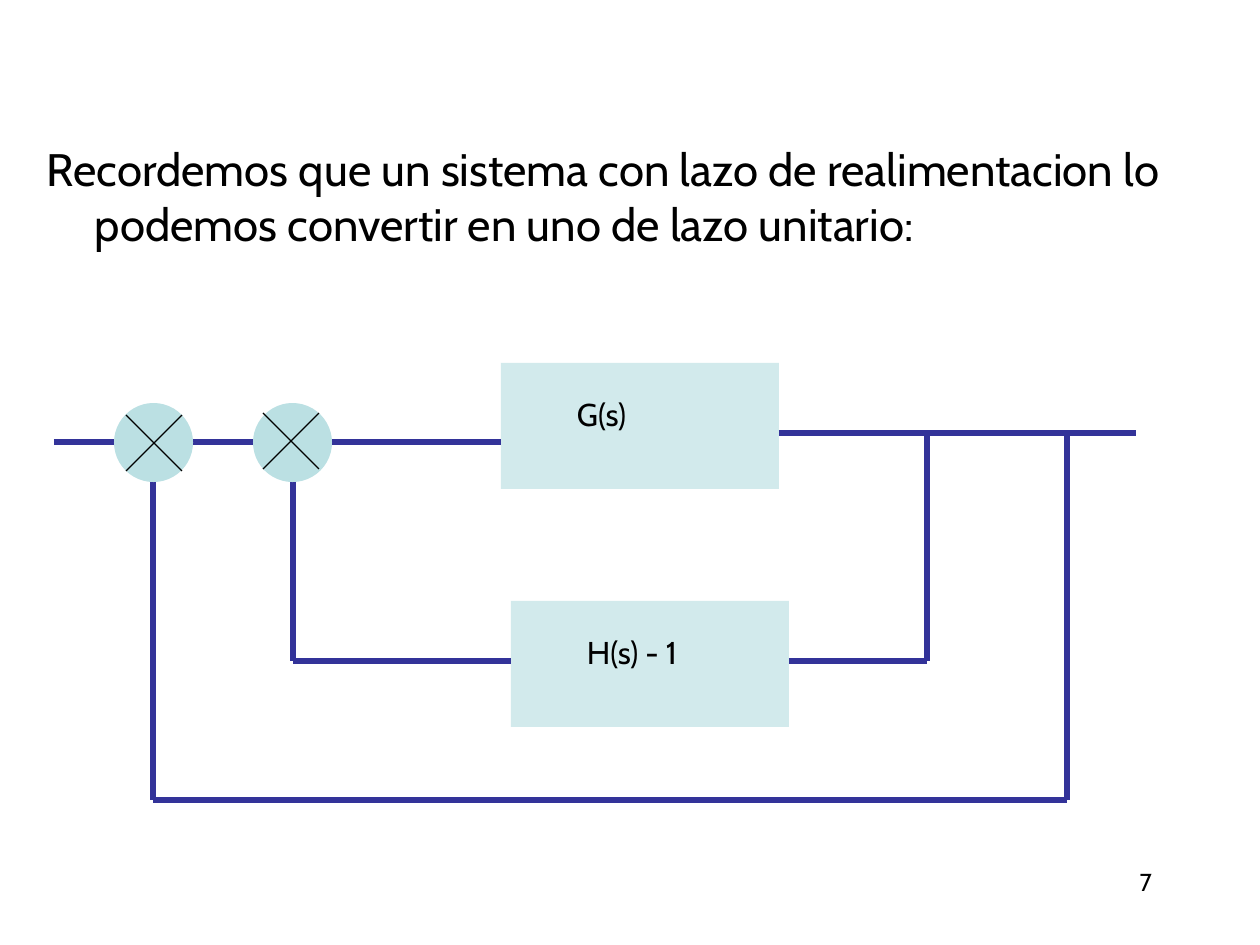
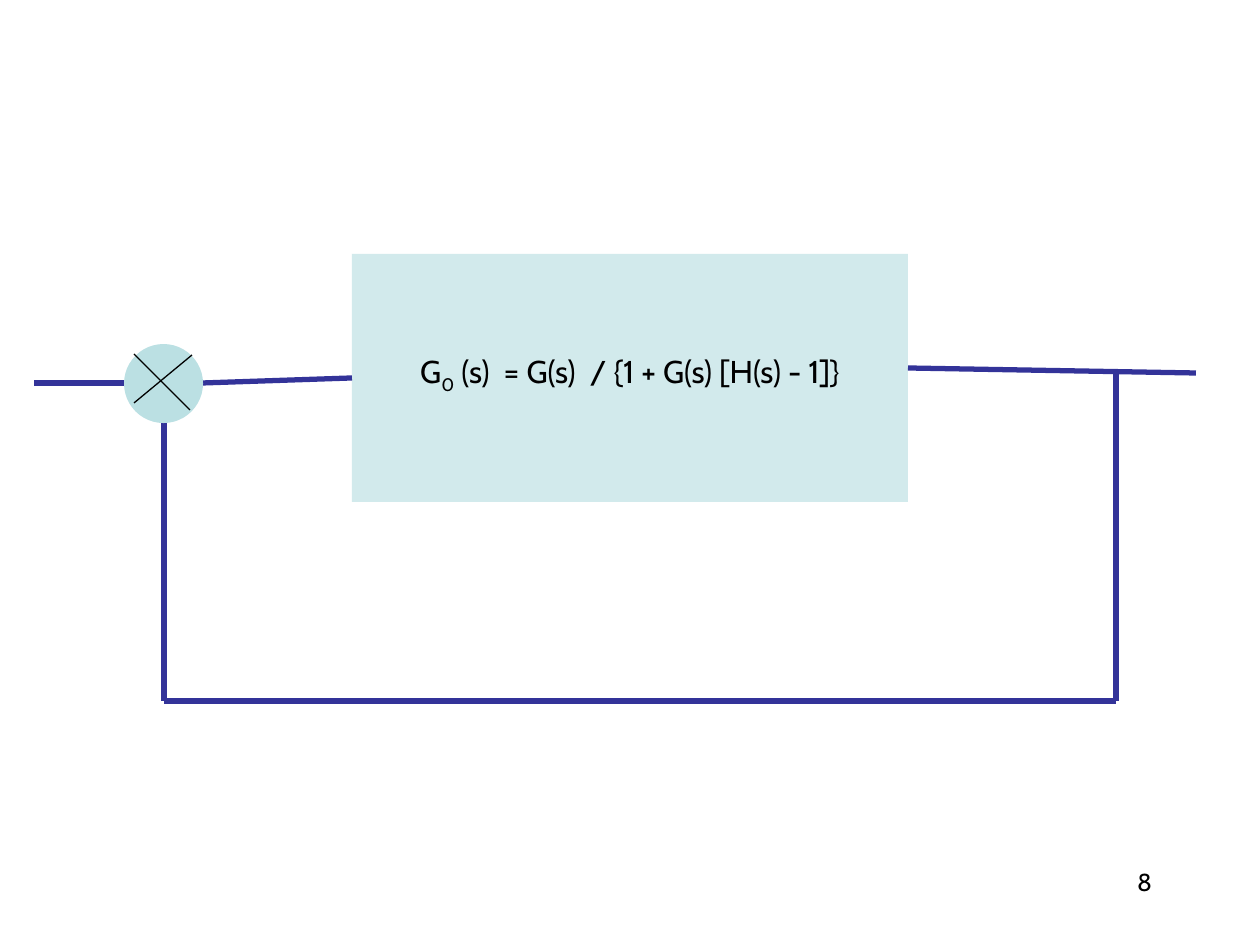
from lxml import etree
from pptx import Presentation
from pptx.dml.color import RGBColor
from pptx.enum.shapes import MSO_CONNECTOR, MSO_SHAPE
from pptx.enum.text import MSO_ANCHOR, PP_ALIGN
from pptx.oxml.ns import qn
from pptx.util import Pt

STRAIGHT = MSO_CONNECTOR.STRAIGHT
RECTANGLE = MSO_SHAPE.RECTANGLE
OVAL = MSO_SHAPE.OVAL
TOP = MSO_ANCHOR.TOP
LEFT = PP_ALIGN.LEFT
CENTER = PP_ALIGN.CENTER
RIGHT = PP_ALIGN.RIGHT

PX_PER_INCH = 126
FONT = "Cabin"
INK = "000000"
WIRE = "333399"
AQUA = "BBE0E3"
BLOCK_OPACITY = 66
JOINT_SIZE = 79
INSET_X, INSET_Y = 13, 6
STATEMENT_BOX = (34, 135, 1155, 777)
NUMBER_BOX = (903, 861, 262, 63)
LOOP_BOX = (54, 363, 1082, 437)
UNIT_LOOP_BOX = (34, 254, 1162, 447)


def px(length):
    return round(length * 914400 / PX_PER_INCH)


def color(hex_code):
    return RGBColor.from_string(hex_code)


def write_text(shape, *pieces, size=18, align=LEFT, spacing=None,
               hanging=0, inset_left=INSET_X, inset_top=INSET_Y):
    frame = shape.text_frame
    frame.word_wrap = True
    frame.vertical_anchor = TOP
    frame.margin_left, frame.margin_right = px(inset_left), px(INSET_X)
    frame.margin_top, frame.margin_bottom = px(inset_top), px(INSET_Y)
    paragraph = frame.paragraphs[0]
    paragraph.alignment = align
    if spacing:
        paragraph.line_spacing = spacing
    if hanging:
        properties = paragraph._p.get_or_add_pPr()
        properties.set("marL", str(px(hanging)))
        properties.set("indent", str(-px(hanging)))
    for words, baseline in pieces:
        run = paragraph.add_run()
        run.text = words
        run.font.name = FONT
        run.font.size = Pt(size)
        run.font.color.rgb = color(INK)
        if baseline:
            run._r.get_or_add_rPr().set("baseline", str(baseline * 1000))


def add_text(slide, box, words, **text_format):
    holder = slide.shapes.add_textbox(*map(px, box))
    write_text(holder, (words, 0), **text_format)


def add_filled(slide, preset, box, opacity=100):
    shape = slide.shapes.add_shape(preset, *map(px, box))
    shape.shadow.inherit = False
    shape.fill.solid()
    shape.fill.fore_color.rgb = color(AQUA)
    shape.line.fill.background()
    if opacity < 100:
        fill_color = shape._element.spPr.find(qn("a:solidFill"))[0]
        etree.SubElement(fill_color, qn("a:alpha")).set("val", str(opacity * 1000))
    return shape


def add_block(slide, box, *pieces, **text_format):
    block = add_filled(slide, RECTANGLE, box, BLOCK_OPACITY)
    write_text(block, *pieces, **text_format)
    return block


def add_wires(slide, origin, segments, hex_code=WIRE, width=3):
    left, top = origin
    wires = []
    for x1, y1, x2, y2 in segments:
        wire = slide.shapes.add_connector(
            STRAIGHT, px(left + x1), px(top + y1), px(left + x2), px(top + y2))
        wire.line.color.rgb = color(hex_code)
        wire.line.width = Pt(width)
        etree.SubElement(wire._element.spPr, qn("a:effectLst"))
        wires.append(wire)
    return wires


def add_summing_joint(slide, origin, strokes):
    add_filled(slide, OVAL, (*origin, JOINT_SIZE, JOINT_SIZE))
    add_wires(slide, origin, strokes, INK, 0.75)


def even_cross(start):
    end = start + 56
    return [(end, start, start, end), (start, start, end, end)]


def draw_feedback_loop(slide, box):
    left, top, width, height = box
    block_width, block_height = 278, 126
    input_y, output_y, inner_y = 79, 70, 298
    outer_x, inner_x = 99, 239
    outer_tap, inner_tap = 1013, 873
    forward_x, feedback_x = 447, 457
    joint_y = 40
    joint_bottom = joint_y + JOINT_SIZE
    first_joint, second_joint = 60, 199
    for name, x, y in (("G(s)", forward_x, 0), ("H(s) - 1", feedback_x, 238)):
        add_block(slide, (left + x, top + y, block_width, block_height), (name, 0),
                  spacing=1.7, inset_left=76)
    add_wires(slide, (left, top), [
        (0, input_y, first_joint, input_y),
        (first_joint + JOINT_SIZE, input_y, second_joint, input_y),
        (second_joint + JOINT_SIZE, input_y, forward_x, input_y),
        (forward_x + block_width, output_y, width, output_y),
        (inner_x, inner_y, feedback_x, inner_y),
        (inner_x, inner_y, inner_x, joint_bottom),
        (outer_x, height, outer_x, joint_bottom),
        (outer_x, height, outer_tap, height),
        (outer_tap, height, outer_tap, output_y),
        (feedback_x + block_width, inner_y, inner_tap, inner_y),
        (inner_tap, inner_y, inner_tap, output_y),
    ])
    for x, cross_start in ((first_joint, 12), (second_joint, 10)):
        add_summing_joint(slide, (left + x, top + joint_y), even_cross(cross_start))


def draw_unit_loop(slide, box):
    left, top, width, height = box
    block_x, block_width, block_height = 318, 556, 248
    joint_x, joint_y = 90, 90
    return_x, tap_x = 130, 1082
    input_y, output_y = 129, 119
    transfer = add_block(
        slide, (left + block_x, top, block_width, block_height),
        ("G", 0), ("0", -25), (" (s)  = G(s)  / {1 + G(s) [H(s) - 1]}", 0),
        align=CENTER, inset_top=98)
    forward, *_ = add_wires(slide, (left, top), [
        (block_x, 124, joint_x + JOINT_SIZE, input_y),
        (joint_x, input_y, 0, input_y),
        (width, output_y, block_x + block_width, 114),
        (return_x, height, return_x, joint_y + JOINT_SIZE),
        (return_x, height, tap_x, height),
        (tap_x, height, tap_x, output_y),
    ])
    forward.begin_connect(transfer, 1)
    add_summing_joint(slide, (left + joint_x, top + joint_y),
                      [(10, 10, 66, 66), (10, 59, 68, 11)])


def add_numbered_slide(deck, number):
    slide = deck.slides.add_slide(deck.slide_layouts[6])
    add_text(slide, NUMBER_BOX, str(number), size=14, align=RIGHT)
    return slide


def main():
    deck = Presentation()
    deck.slide_width, deck.slide_height = px(1260), px(945)

    feedback = add_numbered_slide(deck, 7)
    add_text(feedback, STATEMENT_BOX,
             "Recordemos que un sistema con lazo de realimentacion lo "
             "podemos convertir en uno de lazo unitario:",
             size=26, hanging=48)
    draw_feedback_loop(feedback, LOOP_BOX)

    unit = add_numbered_slide(deck, 8)
    draw_unit_loop(unit, UNIT_LOOP_BOX)

    deck.save("out.pptx")


if __name__ == "__main__":
    main()
